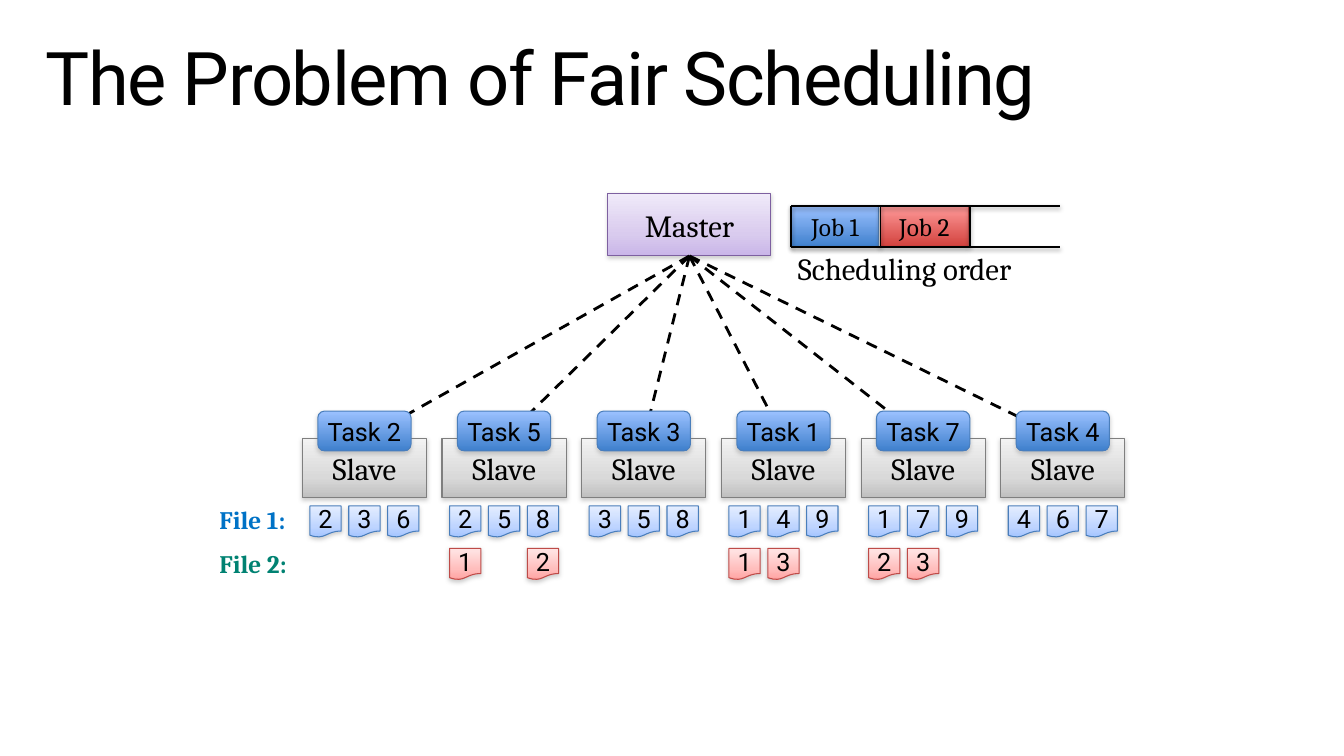
from copy import deepcopy

from lxml import etree
from pptx import Presentation
from pptx.dml.color import RGBColor
from pptx.enum.dml import MSO_LINE
from pptx.enum.shapes import MSO_CONNECTOR, MSO_SHAPE
from pptx.enum.text import MSO_ANCHOR, MSO_AUTO_SIZE, PP_ALIGN
from pptx.oxml.ns import qn
from pptx.util import Cm, Pt

RECTANGLE, ROUNDED = MSO_SHAPE.RECTANGLE, MSO_SHAPE.ROUNDED_RECTANGLE
DOCUMENT = MSO_SHAPE.FLOWCHART_DOCUMENT
STRAIGHT, DASH = MSO_CONNECTOR.STRAIGHT, MSO_LINE.DASH
LEFT, CENTER = PP_ALIGN.LEFT, PP_ALIGN.CENTER
TOP, MIDDLE = MSO_ANCHOR.TOP, MSO_ANCHOR.MIDDLE
NO_AUTOFIT = MSO_AUTO_SIZE.NONE

SERIF, SANS = "Cambria", "Roboto"
COLORS = {
    "black": "000000", "shadow": "808080", "file 1": "0072C6", "file 2": "008272",
    "blue line": "4A7EBB", "red line": "BE4B48",
    "purple line": "7D60A0", "gray line": "7F7F7F",
    "blue top": "9BC1FF", "blue end": "3F80CD",
    "red top": "FF9A99", "red end": "D1403C",
    "purple top": "F0EAF9", "purple middle": "D9CBEE", "purple end": "C9B5E8",
    "gray top": "F2F2F2", "gray middle": "D9D9D9", "gray end": "BFBFBF",
    "pale blue top": "E5EEFF", "pale blue middle": "BFD5FF", "pale blue end": "A3C4FF",
    "pale red top": "FFE5E5", "pale red middle": "FFBEBD", "pale red end": "FFA2A1",
}
STOPS = {"top": 0, "middle": 0.65, "end": 1}

SLAVES = [
    ("Task 2", "236", ""),
    ("Task 5", "258", "1 2"),
    ("Task 3", "358", ""),
    ("Task 1", "149", "13"),
    ("Task 7", "179", "23"),
    ("Task 4", "467", ""),
]
SLAVE_LEFT, SLAVE_STEP, SLAVE_WIDTH, SLAVE_TOP = 7.62, 3.52, 3.13, 11.05
MASTER_LEFT, MASTER_TOP, MASTER_WIDTH, MASTER_HEIGHT = 15.32, 4.88, 4.11, 1.57
QUEUE_LEFT, QUEUE_RIGHT, QUEUE_TOP, QUEUE_BOTTOM = 19.94, 26.72, 5.19, 6.23
JOB_STEP, JOB_WIDTH = 2.25, 2.21
BLOCK_SIZE, BLOCK_STEP = 0.79, 0.98


class Painter:
    """Draws styled elements on the current slide."""

    def __init__(self, slide):
        self.slide = slide

    def rgb(self, name):
        return RGBColor.from_string(COLORS[name])

    def set_text(self, box, text, size, font=SERIF, color="black", bold=False,
                 align=LEFT, anchor=MIDDLE, insets=(0.25, 0.13), wrap=True):
        frame = box.text_frame
        frame.word_wrap, frame.vertical_anchor = wrap, anchor
        frame.auto_size = NO_AUTOFIT
        frame.margin_left = frame.margin_right = Cm(insets[0])
        frame.margin_top = frame.margin_bottom = Cm(insets[1])
        para = frame.paragraphs[0]
        para.text, para.alignment = text, align
        para.font.name, para.font.size, para.font.bold = font, Pt(size), bold
        para.font.color.rgb = self.rgb(color)
        return para

    def title(self, text):
        box = self.slide.shapes.title
        box.left, box.top, box.width, box.height = Cm(0.74), Cm(0.79), Cm(32.36), Cm(2.57)
        para = self.set_text(box, text, 52.9, SANS, anchor=TOP, insets=(0.41, 0.25))
        para.line_spacing = 0.9
        box.element.find(".//" + qn("a:defRPr")).set("spc", "-100")

    def label(self, text, left, top, width, height, size, **style):
        box = self.slide.shapes.add_textbox(Cm(left), Cm(top), Cm(width), Cm(height))
        self.set_text(box, text, size, **style)

    def shadow(self, element, color="shadow", distance=1.6, opacity=38):
        effects = etree.SubElement(element.spPr, qn("a:effectLst"))
        outer = etree.SubElement(
            effects, qn("a:outerShdw"), blurRad=str(Pt(3.1)), dist=str(Pt(distance)),
            dir="5400000", algn="t", rotWithShape="0")
        tint = etree.SubElement(outer, qn("a:srgbClr"), val=COLORS[color])
        etree.SubElement(tint, qn("a:alpha"), val=str(opacity * 1000))

    def block(self, kind, text, left, top, width, height, size, fill, line,
              font=SERIF, insets=(0.25, 0.13)):
        box = self.slide.shapes.add_shape(kind, Cm(left), Cm(top), Cm(width), Cm(height))
        stops = [(f"{fill} {part}", place) for part, place in STOPS.items()
                 if f"{fill} {part}" in COLORS]
        box.fill.gradient()
        box.fill.gradient_angle = 270
        stop_list = box.element.spPr.find(".//" + qn("a:gsLst"))
        for _ in stops[2:]:
            stop_list.append(deepcopy(stop_list[-1]))
        for stop, (name, place) in zip(box.fill.gradient_stops, stops):
            stop.color.rgb, stop.position = self.rgb(name), place
        box.line.color.rgb, box.line.width = self.rgb(line), Pt(0.75)
        if len(stops) == 2:
            self.shadow(box.element, distance=1.8, opacity=35)
        else:
            self.shadow(box.element)
        self.set_text(box, text, size, font, align=CENTER, insets=insets)

    def line(self, start, end, width, dashed=False):
        link = self.slide.shapes.add_connector(
            STRAIGHT, *(Cm(length) for length in (*start, *end)))
        link.line.color.rgb, link.line.width = self.rgb("black"), Pt(width)
        if dashed:
            link.line.dash_style = DASH
            etree.SubElement(link.element.spPr, qn("a:effectLst"))
        else:
            self.shadow(link.element, "black")


def draw_queue(painter):
    for index, (job, color) in enumerate([("Job 1", "blue"), ("Job 2", "red")]):
        painter.block(RECTANGLE, job, QUEUE_LEFT + index * JOB_STEP, QUEUE_TOP, JOB_WIDTH,
                      QUEUE_BOTTOM - QUEUE_TOP, 18, color, f"{color} line")
    for y in (QUEUE_TOP, QUEUE_BOTTOM):
        painter.line((QUEUE_LEFT, y), (QUEUE_RIGHT, y), 1.25)
    for index in range(3):
        x = QUEUE_LEFT + index * JOB_STEP
        painter.line((x, QUEUE_TOP), (x, QUEUE_BOTTOM), 1.25)
    painter.label("Scheduling order", 19.86, 6.17, 7.24, 1.19, 22)


def draw_slave(painter, left, task, *files):
    painter.block(RECTANGLE, "Slave", left, SLAVE_TOP, SLAVE_WIDTH, 1.5, 22, "gray", "gray line")
    painter.line((MASTER_LEFT + MASTER_WIDTH / 2, MASTER_TOP + MASTER_HEIGHT),
                 (left + SLAVE_WIDTH / 2, SLAVE_TOP), 2, dashed=True)
    painter.block(ROUNDED, task, left + 0.39, 10.36, 2.35, 1, 18, "blue", "blue line",
                  SANS, (0, 0.13))
    for numbers, top, color in zip(files, (12.75, 13.82), ("blue", "red")):
        for index, number in enumerate(numbers):
            if number != " ":
                painter.block(DOCUMENT, number, left + 0.19 + index * BLOCK_STEP, top,
                              BLOCK_SIZE, BLOCK_SIZE, 18, f"pale {color}", f"{color} line",
                              SANS, (0, 0))


def main():
    deck = Presentation()
    deck.slide_width, deck.slide_height = Cm(33.87), Cm(19.05)
    painter = Painter(deck.slides.add_slide(deck.slide_layouts[5]))
    painter.title("The Problem of Fair Scheduling")
    painter.block(RECTANGLE, "Master", MASTER_LEFT, MASTER_TOP, MASTER_WIDTH, MASTER_HEIGHT,
                  22, "purple", "purple line")
    draw_queue(painter)
    for index, slave in enumerate(SLAVES):
        draw_slave(painter, SLAVE_LEFT + index * SLAVE_STEP, *slave)
    for text, top, color in [("File 1:", 12.57, "file 1"), ("File 2:", 13.69, "file 2")]:
        painter.label(text, 5.28, top, 2.31, 1.02, 18, color=color, bold=True,
                      anchor=TOP, wrap=False)
    deck.save("out.pptx")


if __name__ == "__main__":
    main()
